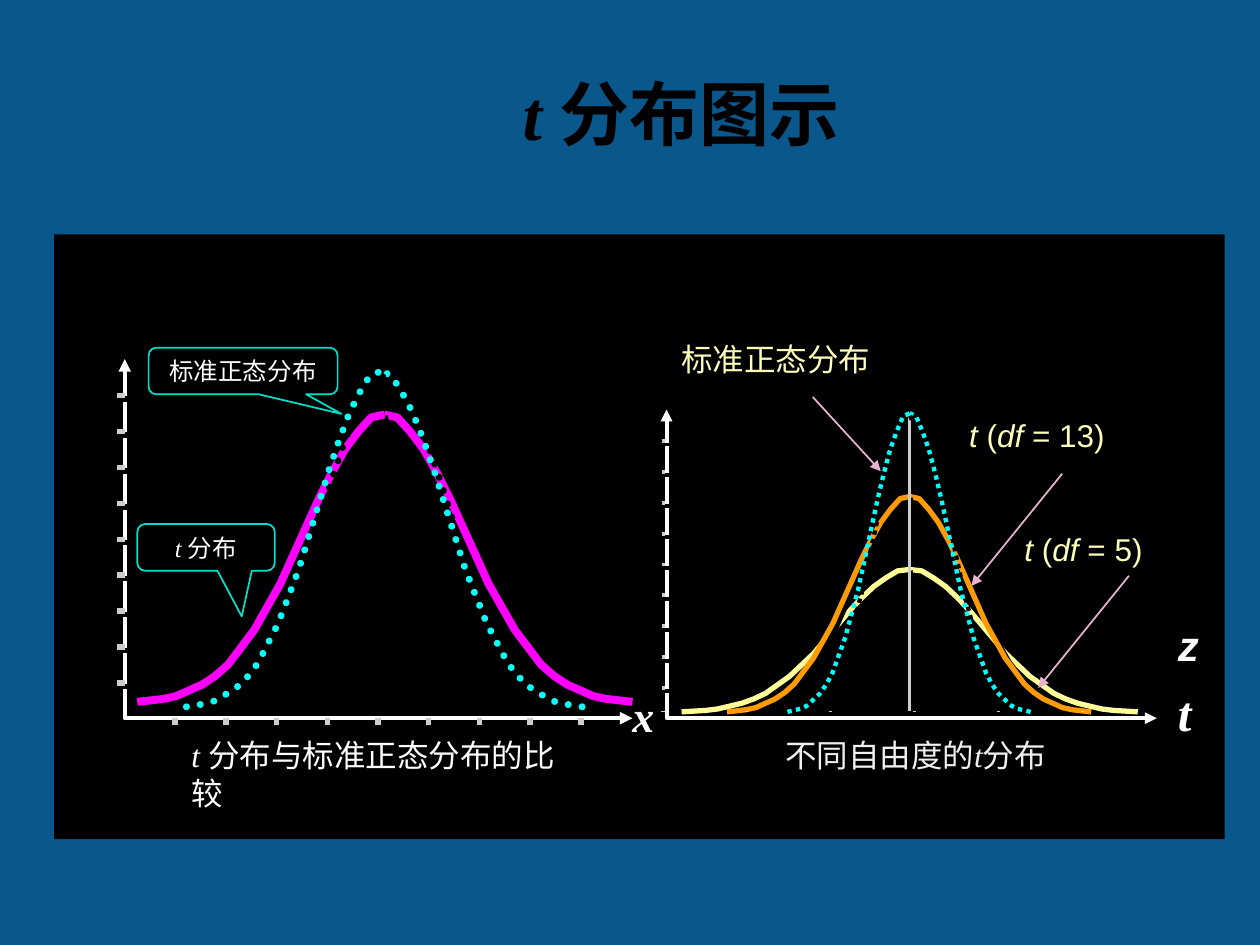
"""Build a slide that compares t distributions with the standard normal curve."""
from dataclasses import dataclass

from pptx import Presentation
from pptx.dml.color import RGBColor
from pptx.enum.dml import MSO_LINE
from pptx.enum.shapes import MSO_CONNECTOR, MSO_SHAPE
from pptx.enum.text import MSO_ANCHOR, MSO_AUTO_SIZE, PP_ALIGN
from pptx.oxml import parse_xml
from pptx.oxml.ns import nsdecls, qn
from pptx.oxml.xmlchemy import OxmlElement
from pptx.util import Inches, Pt

BLUE = RGBColor(0x0A, 0x57, 0x8C)
BLACK = RGBColor(0, 0, 0)
WHITE = RGBColor(0xFF, 0xFF, 0xFF)
OFF_WHITE = RGBColor(0xF0, 0xF0, 0xF0)
GREY = RGBColor(0xCD, 0xCD, 0xCD)
TEAL = RGBColor(0x00, 0xDF, 0xCA)
MAGENTA = RGBColor(0xFF, 0x00, 0xFF)
AQUA = RGBColor(0x0B, 0xFF, 0xF9)
CYAN = RGBColor(0x00, 0xFF, 0xFF)
YELLOW = RGBColor(0xFF, 0xFF, 0x99)
ORANGE = RGBColor(0xFE, 0x9B, 0x03)
PINK = RGBColor(0xE7, 0xB3, 0xD1)
CREAM = RGBColor(0xFC, 0xFE, 0xB9)
LEFT, CENTER = PP_ALIGN.LEFT, PP_ALIGN.CENTER
TOP, MIDDLE = MSO_ANCHOR.TOP, MSO_ANCHOR.MIDDLE
GROW = MSO_AUTO_SIZE.SHAPE_TO_FIT_TEXT
DOT = MSO_LINE.ROUND_DOT
STRAIGHT = MSO_CONNECTOR.STRAIGHT
RECT, CALLOUT = MSO_SHAPE.RECTANGLE, MSO_SHAPE.ROUNDED_RECTANGULAR_CALLOUT
TIMES, ARIAL, VOLLKORN = "Times New Roman", "Arial", "Vollkorn"

STEPS = (0, 2, 3, 4, 5, 6, 7, 9, 11, 13, 14, 15, 16, 17, 18, 19)
RISES = (0, .01, .02, .04, .06, .09, .13, .25, .41, .61, .71, .8, .88, .94, .99, 1)


@dataclass
class Run:
    text: str
    font: str = ARIAL
    italic: bool = False


@dataclass
class Curve:
    left: float
    middle: float
    right: float
    top: float
    base: float
    color: RGBColor
    width: float
    dash: MSO_LINE | None = None
    cap: str = "flat"
    shadow: float = 2.8


@dataclass
class Axes:
    left: float
    top: float
    right: float
    width: float
    base: float = 5.7


@dataclass
class Callout:
    box: tuple
    runs: list
    tip: tuple


T = Run("t ", TIMES, True)


def write(tf, runs, size, color, align=LEFT, bold=False, inset=(.1, .05), wrap=True, anchor=TOP):
    """Fill a text frame with one formatted paragraph."""
    tf.word_wrap, tf.vertical_anchor = wrap, anchor
    tf.margin_left = tf.margin_right = Inches(inset[0])
    tf.margin_top = tf.margin_bottom = Inches(inset[1])
    p = tf.paragraphs[0]
    p.alignment = align
    for run in runs:
        r = p.add_run()
        r.text = run.text
        r.font.name, r.font.size = run.font, Pt(size)
        r.font.bold, r.font.italic = bold, run.italic
        r.font.color.rgb = color
    return p


def add_label(shapes, box: tuple, runs: list, size: float, color: RGBColor, **fmt) -> None:
    """Add a text box that grows with its text."""
    tf = shapes.add_textbox(*map(Inches, box)).text_frame
    write(tf, runs, size, color, **fmt)
    tf.auto_size = GROW


def style_line(sp, color, width, shadow=0.0, ends=(), dash=None, cap="flat") -> None:
    """Format a line, its arrowheads and its shadow."""
    sp.line.color.rgb, sp.line.width = color, Pt(width)
    if dash is not None:
        sp.line.dash_style = dash
    spPr = sp._element.spPr
    ln = spPr.find(qn("a:ln"))
    ln.set("cap", cap)
    for end in ends:
        arrow = OxmlElement(f"a:{end}")
        arrow.set("type", "triangle")
        ln.append(arrow)
    outer = (f'<a:outerShdw dist="{Pt(shadow)}" dir="2700000" algn="ctr" rotWithShape="0">'
             '<a:srgbClr val="000000"/></a:outerShdw>') if shadow else ""
    spPr.append(parse_xml(f'<a:effectLst {nsdecls("a")}>{outer}</a:effectLst>'))


def add_segment(shapes, start: tuple, end: tuple, color: RGBColor, width: float, **fmt) -> None:
    """Draw a straight line."""
    sp = shapes.add_connector(STRAIGHT, *map(Inches, start + end))
    style_line(sp, color, width, **fmt)


def add_path(shapes, points: list, color: RGBColor, width: float, **fmt) -> None:
    """Draw an open outline without a fill."""
    pts = [(Inches(x), Inches(y)) for x, y in points]
    fb = shapes.build_freeform(*pts[0])
    fb.add_line_segments(pts[1:], close=False)
    sp = fb.convert_to_shape()
    sp.fill.background()
    style_line(sp, color, width, **fmt)


def add_curve(shapes, c: Curve) -> None:
    """Draw both halves of a bell from the outer edge to the peak."""
    for edge in (c.right, c.left):
        points = [(edge + (c.middle - edge) * k / STEPS[-1], c.base + (c.top - c.base) * rise)
                  for k, rise in zip(STEPS, RISES)]
        add_path(shapes, points, c.color, c.width, shadow=c.shadow, dash=c.dash, cap=c.cap)


def add_axes(shapes, a: Axes) -> None:
    """Draw an L-shaped pair of axes with arrowheads."""
    points = [(a.left, a.top), (a.left, a.base), (a.right, a.base)]
    add_path(shapes, points, WHITE, a.width, shadow=2.8, ends=("headEnd", "tailEnd"))


def add_ticks(shapes, first: float, last: float, count: int, span: tuple, width: float,
              vertical: bool = False, shadow: float = 2.8) -> None:
    """Draw evenly spaced ticks across an axis."""
    for i in range(count):
        at = first + (last - first) * i / (count - 1)
        ends = [(at, s) if vertical else (s, at) for s in span]
        add_segment(shapes, *ends, GREY, width, shadow=shadow)


def add_callout(shapes, c: Callout) -> None:
    """Add an outlined speech bubble."""
    sp = shapes.add_shape(CALLOUT, *map(Inches, c.box))
    sp.adjustments[0], sp.adjustments[1] = c.tip
    sp.fill.background()
    sp.line.color.rgb, sp.line.width = TEAL, Pt(1)
    sp.shadow.inherit = False
    write(sp.text_frame, c.runs, 14, WHITE, align=CENTER)


def main() -> None:
    """Build and save the slide."""
    prs = Presentation()
    prs.slide_width, prs.slide_height = Inches(10), Inches(7.5)
    slide = prs.slides.add_slide(prs.slide_layouts[5])
    slide.background.fill.solid()
    slide.background.fill.fore_color.rgb = BLUE
    shapes = slide.shapes

    title = shapes.title
    title.left, title.top, title.width, title.height = map(Inches, (2.03, .3, 6.75, 1.25))
    p = write(title.text_frame, [T, Run("分布图示", VOLLKORN)], 40, BLACK,
              align=CENTER, bold=True, anchor=MIDDLE)
    p.line_spacing = .95

    panel = shapes.add_shape(RECT, *map(Inches, (.43, 1.86, 9.29, 4.8)))
    panel.fill.solid()
    panel.fill.fore_color.rgb = BLACK
    panel.line.fill.background()
    panel.shadow.inherit = False

    add_label(shapes, (5.02, 5.47, .17, .42), [Run("x", TIMES, True)], 25, WHITE,
              bold=True, inset=(0, 0), wrap=False)
    add_label(shapes, (1.52, 5.84, 3.13, .3), [T, Run("分布与标准正态分布的比较")], 18, WHITE,
              inset=(0, 0))
    add_axes(shapes, Axes(.99, 2.85, 5.02, 2.38))
    add_ticks(shapes, 3.14, 5.42, 9, (.93, .99), 3.13)
    add_ticks(shapes, 1.39, 4.61, 9, (5.7, 5.75), 3.13, vertical=True)
    add_callout(shapes, Callout((1.09, 4.16, 1.09, .37), [T, Run("分布")], (.26, 1.48)))
    add_callout(shapes, Callout((1.18, 2.76, 1.5, .37), [Run("标准正态分布")], (.52, .92)))
    add_curve(shapes, Curve(1.09, 3.05, 5.02, 3.29, 5.57, MAGENTA, 4.5, shadow=3.6))
    add_curve(shapes, Curve(1.48, 3.02, 4.62, 2.95, 5.61, AQUA, 4, DOT, "rnd", 3.6))

    add_curve(shapes, Curve(5.41, 7.22, 9.03, 4.52, 5.65, YELLOW, 3))
    add_curve(shapes, Curve(5.77, 7.22, 8.66, 3.94, 5.65, ORANGE, 3))
    add_segment(shapes, (7.22, 3.29), (7.22, 5.64), GREY, 1.5)
    add_curve(shapes, Curve(6.25, 7.22, 8.18, 3.28, 5.65, CYAN, 2.5, DOT))
    add_axes(shapes, Axes(5.29, 3.25, 9.18, 2.25))
    add_ticks(shapes, 3.5, 5.46, 9, (5.25, 5.28), 2.25)
    add_ticks(shapes, 5.26, 8.59, 6, (5.64, 5.65), 2, vertical=True, shadow=0)
    for start, end in (((6.45, 3.15), (6.99, 3.74)), ((8.96, 4.57), (8.24, 5.46)),
                       ((8.43, 3.76), (7.71, 4.65))):
        add_segment(shapes, start, end, PINK, 1, ends=("tailEnd",))

    add_label(shapes, (6.11, 5.79, 2.31, .4),
              [Run("不同自由度的"), Run("t", TIMES, True), Run("分布")], 18, OFF_WHITE, align=CENTER)
    add_label(shapes, (5.25, 2.65, 1.81, .4), [Run("标准正态分布")], 18, CREAM, align=CENTER)
    for box, df in (((7.53, 3.25, 1.4, .4), 13), ((7.93, 4.16, 1.34, .4), 5)):
        runs = [Run("t ", italic=True), Run("("), Run("df", italic=True), Run(f" = {df})")]
        add_label(shapes, box, runs, 18, CREAM, align=CENTER)
    for box, run, size in (((9.25, 5.37, .31, .57), Run("t", TIMES, True), 28),
                           ((9.25, 4.87, .36, .5), Run("z", italic=True), 24)):
        add_label(shapes, box, [run], size, WHITE, bold=True, wrap=False)
    prs.save("out.pptx")


if __name__ == "__main__":
    main()
